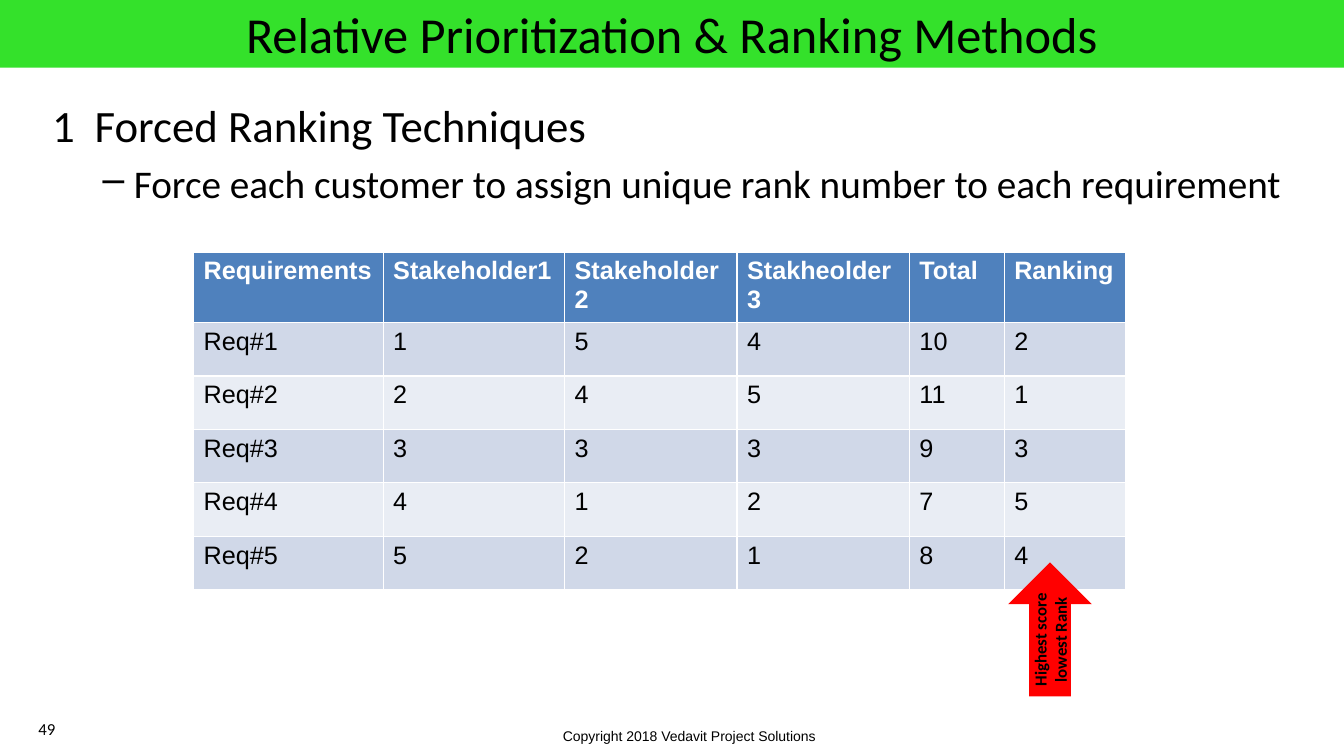
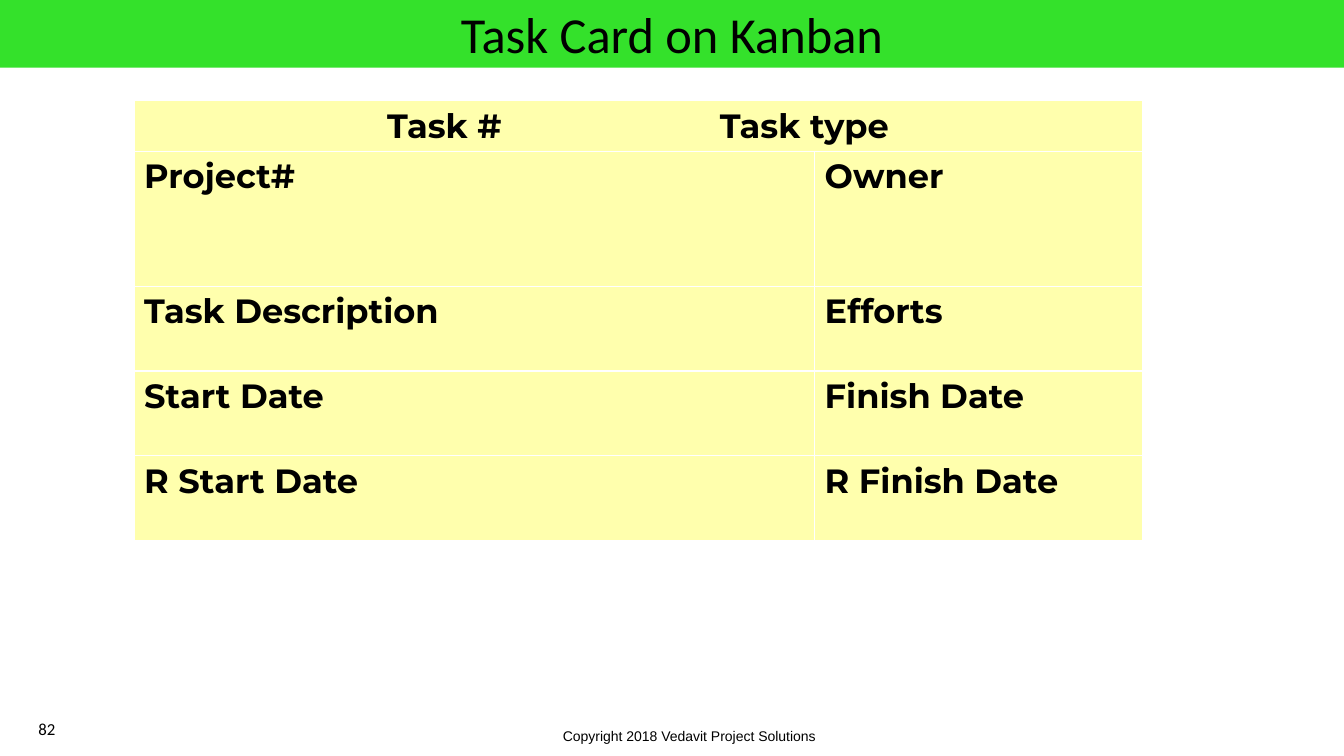
from lxml.etree import SubElement
from pptx import Presentation
from pptx.dml.color import RGBColor
from pptx.enum.shapes import MSO_SHAPE
from pptx.enum.text import MSO_ANCHOR, MSO_AUTO_SIZE, PP_ALIGN
from pptx.oxml.ns import qn
from pptx.util import Inches, Pt

BLACK = RGBColor(0x00, 0x00, 0x00)
WHITE = RGBColor(0xFF, 0xFF, 0xFF)
GREEN = RGBColor(0x34, 0xE1, 0x2B)
RED = RGBColor(0xFF, 0x00, 0x00)
YELLOW = RGBColor(0xFF, 0xFF, 0x00)
HEADER_BLUE = RGBColor(0x4F, 0x81, 0xBD)
BANDS = [RGBColor(0xE9, 0xED, 0xF4), RGBColor(0xD0, 0xD8, 0xE8)]


def write(para, text, color=BLACK, **formats):
    """Put text in a paragraph and apply the font formats to it."""
    span = para.add_run()
    span.text = text
    span.font.color.rgb = color
    for name, value in formats.items():
        setattr(span.font, name, value)


def add_grid(page, left, top, widths, heights):
    """Add a table with the given column widths and row heights in inches."""
    table = page.shapes.add_table(
        len(heights), len(widths), Inches(left), Inches(top),
        Inches(sum(widths)), Inches(sum(heights))).table
    for column, width in zip(table.columns, widths):
        column.width = Inches(width)
    for row, height in zip(table.rows, heights):
        row.height = Inches(height)
    return table


deck = Presentation()
deck.slide_width, deck.slide_height = Inches(13.33), Inches(7.5)

# Title band, copyright line and page number of every slide
pages = []
for heading, number in [("Relative Prioritization & Ranking Methods", "49"),
                        ("Task Card on Kanban", "82")]:
    page = deck.slides.add_slide(deck.slide_layouts[5])
    pages.append(page)
    title = page.shapes.title
    title.left, title.top = Inches(0), Inches(0)
    title.width, title.height = deck.slide_width, Inches(0.67)
    title.fill.solid()
    title.fill.fore_color.rgb = GREEN
    frame = title.text_frame
    frame.auto_size = MSO_AUTO_SIZE.NONE
    frame.vertical_anchor = MSO_ANCHOR.MIDDLE
    frame.paragraphs[0].alignment = PP_ALIGN.CENTER
    write(frame.paragraphs[0], heading, size=Pt(36), name="Calibri")

    for text, place, anchor, size, font in [
            ("Copyright 2018 Vedavit Project Solutions",
             (4.89, 7.17, 3.89, 0.25), MSO_ANCHOR.TOP, 10, "Arial"),
            (number, (0.02, 7.03, 0.89, 0.4), MSO_ANCHOR.MIDDLE, 12, "Calibri")]:
        frame = page.shapes.add_textbox(*map(Inches, place)).text_frame
        frame.word_wrap = True
        frame.vertical_anchor = anchor
        frame.paragraphs[0].alignment = PP_ALIGN.CENTER
        write(frame.paragraphs[0], text, size=Pt(size), name=font)

ranking_page, card_page = pages

# Forced ranking: introduction
box = ranking_page.shapes.add_textbox(
    Inches(0.42), Inches(0.92), Inches(12.5), Inches(5.83))
frame = box.text_frame
frame.word_wrap = True
para = frame.paragraphs[0]
tabs = SubElement(para._p.get_or_add_pPr(), qn("a:tabLst"))
SubElement(tabs, qn("a:tab"), pos=str(Inches(0.42)), algn="l")
write(para, "1\tForced Ranking Techniques", size=Pt(32), name="Calibri")

para = frame.add_paragraph()
para.space_before = Pt(5.6)
properties = para._p.get_or_add_pPr()
properties.set("marL", str(Inches(0.81)))
properties.set("indent", str(Inches(-0.31)))
SubElement(properties, qn("a:buChar"), char="–")
write(para, "Force each customer to assign unique rank number to each requirement",
      size=Pt(28), name="Calibri")

# Forced ranking: scores
scores = [
    ["Requirements", "Stakeholder1", "Stakeholder2", "Stakheolder3", "Total", "Ranking"],
    ["Req#1", "1", "5", "4", "10", "2"],
    ["Req#2", "2", "4", "5", "11", "1"],
    ["Req#3", "3", "3", "3", "9", "3"],
    ["Req#4", "4", "1", "2", "7", "5"],
    ["Req#5", "5", "2", "1", "8", "4"],
]
table = add_grid(ranking_page, 1.92, 2.5,
                 [1.88, 1.8, 1.71, 1.71, 0.94, 1.2], [0.53] * len(scores))
for row, values in enumerate(scores):
    is_header = row == 0
    for column, value in enumerate(values):
        cell = table.cell(row, column)
        cell.fill.solid()
        cell.fill.fore_color.rgb = HEADER_BLUE if is_header else BANDS[row % 2]
        write(cell.text_frame.paragraphs[0], value, WHITE if is_header else BLACK,
              size=Pt(18), name="Arial", bold=is_header)

arrow = ranking_page.shapes.add_shape(
    MSO_SHAPE.UP_ARROW, Inches(10), Inches(5.58), Inches(0.83), Inches(1.33))
arrow.shadow.inherit = False
arrow.fill.solid()
arrow.fill.fore_color.rgb = RED
arrow.line.fill.background()
frame = arrow.text_frame
frame.vertical_anchor = MSO_ANCHOR.MIDDLE
frame._txBody.bodyPr.set("vert", "vert270")
frame.paragraphs[0].alignment = PP_ALIGN.CENTER
write(frame.paragraphs[0], "Highest score lowest Rank",
      size=Pt(12), name="Calibri", bold=True)

# Task card
fields = [
    ["Task #\tTask type"],
    ["Project#", "Owner"],
    ["Task Description", "Efforts"],
    ["Start Date", "Finish Date"],
    ["R Start Date", "R Finish Date"],
]
table = add_grid(card_page, 1.33, 1, [6.75, 3.25], [0.48, 1.34, 0.84, 0.84, 0.84])
header = table.cell(0, 0)
header.merge(table.cell(0, 1))
header.margin_left = Inches(2.51)
tabs = SubElement(header.text_frame.paragraphs[0]._p.get_or_add_pPr(), qn("a:tabLst"))
SubElement(tabs, qn("a:tab"), pos=str(Inches(3.3)), algn="l")
for row, labels in enumerate(fields):
    for column, label in enumerate(labels):
        cell = table.cell(row, column)
        cell.fill.solid()
        cell.fill.fore_color.rgb = YELLOW
        tint = cell._tc.tcPr.find(".//" + qn("a:srgbClr"))
        SubElement(tint, qn("a:alpha"), val="32000")
        write(cell.text_frame.paragraphs[0], label,
              size=Pt(24), name="Montserrat", bold=True)

deck.save("out.pptx")
